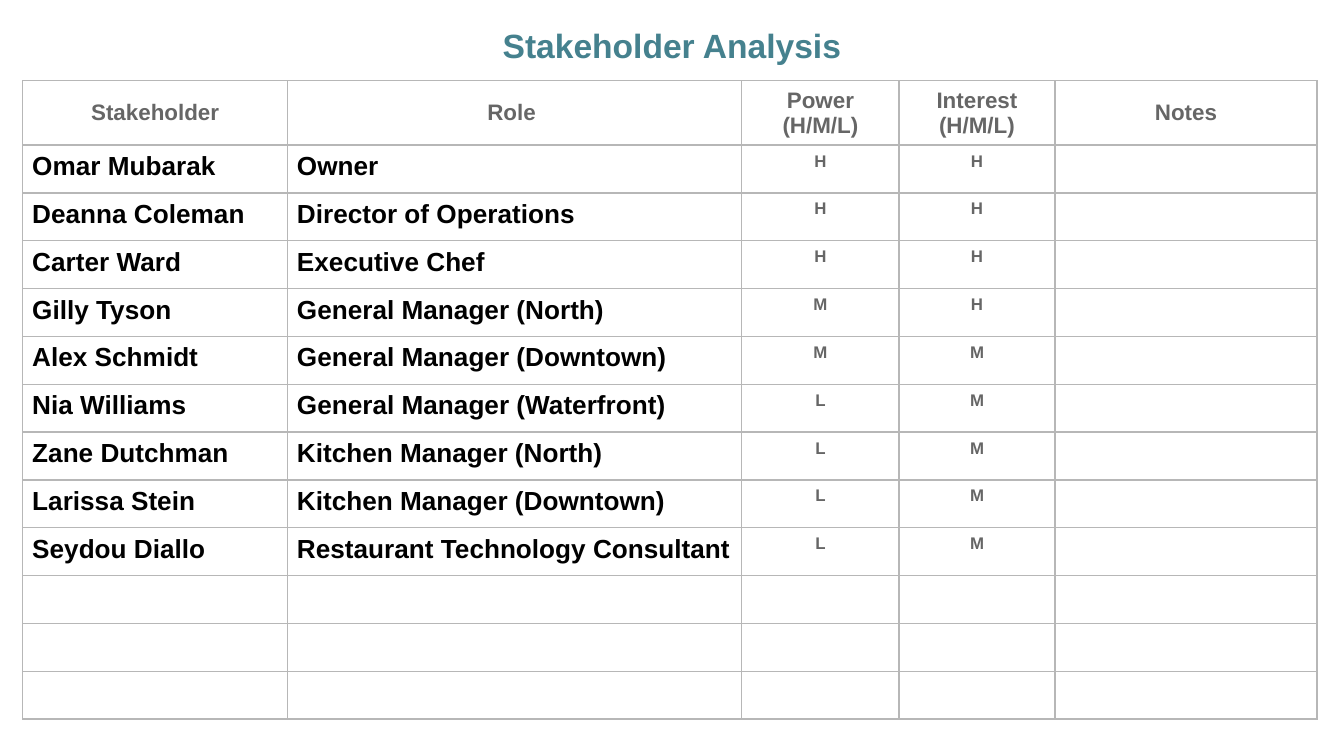
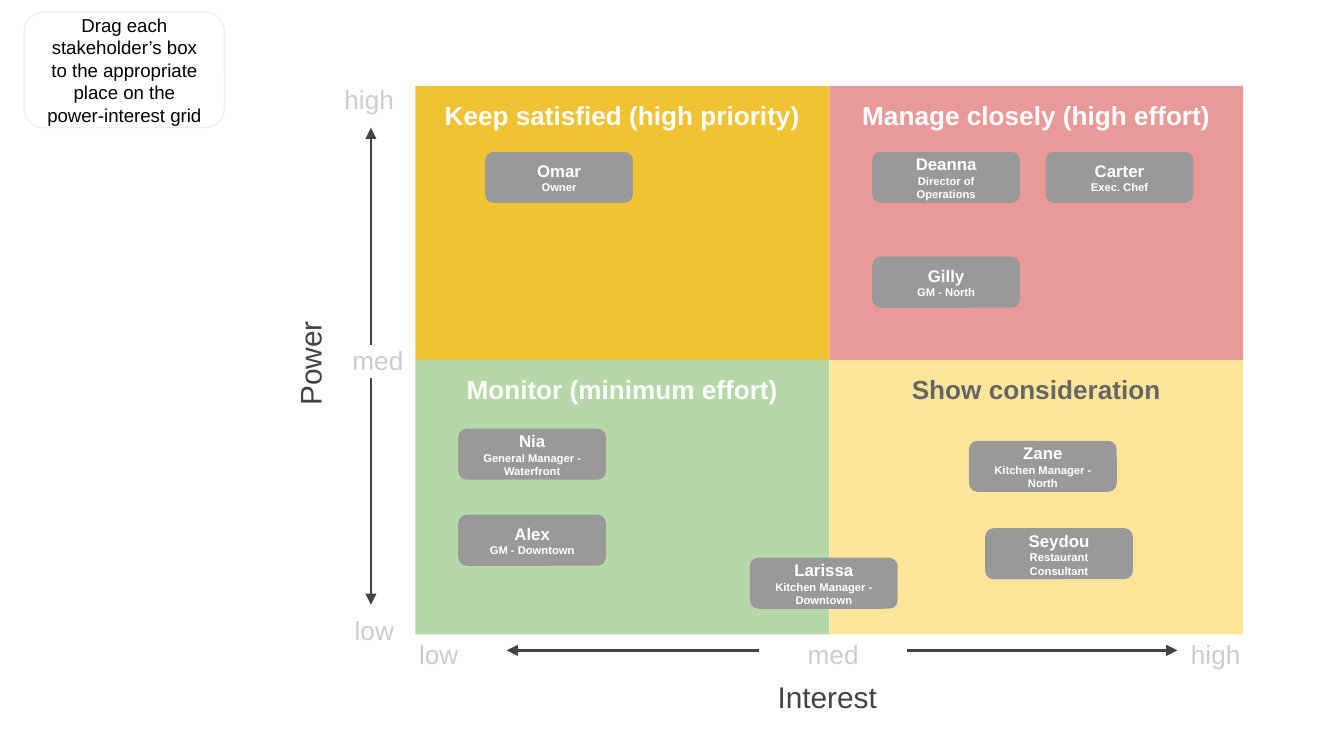
from lxml import etree
from pptx import Presentation
from pptx.dml.color import RGBColor
from pptx.enum.shapes import MSO_CONNECTOR, MSO_SHAPE
from pptx.enum.text import MSO_ANCHOR, PP_ALIGN
from pptx.oxml import parse_xml
from pptx.oxml.ns import nsdecls, qn
from pptx.util import Inches, Pt

LEFT, CENTER, RIGHT = PP_ALIGN.LEFT, PP_ALIGN.CENTER, PP_ALIGN.RIGHT
TOP, MIDDLE = MSO_ANCHOR.TOP, MSO_ANCHOR.MIDDLE
RECTANGLE, ROUNDED = MSO_SHAPE.RECTANGLE, MSO_SHAPE.ROUNDED_RECTANGLE
STRAIGHT = MSO_CONNECTOR.STRAIGHT

FONT = "Arial"
COLORS = {
    "title": "45818E",
    "muted": "666666",
    "black": "000000",
    "white": "FFFFFF",
    "border": "B7B7B7",
    "axis": "434343",
    "scale": "CCCCCC",
    "person": "999999",
    "hint": "EFEFEF",
    "satisfy": "F1C232",
    "manage": "EA9999",
    "monitor": "B6D7A8",
    "consider": "FFE599",
}

deck = Presentation()
deck.slide_width, deck.slide_height = Inches(10), Inches(5.625)
COL, ROW = deck.slide_width / 100, deck.slide_height / 100
blank = deck.slide_layouts[6]


def write(frame, lines, color, align=CENTER, bold=False):
    for index, (text, size) in enumerate(lines):
        paragraph = frame.add_paragraph() if index else frame.paragraphs[0]
        paragraph.text = text
        paragraph.alignment = align
        paragraph.font.name = FONT
        paragraph.font.size = Pt(size)
        paragraph.font.bold = bold
        paragraph.font.color.rgb = RGBColor.from_string(COLORS[color])


def place(slide, kind, left, top, width, height, anchor=TOP):
    area = [int(left * COL), int(top * ROW), int(width * COL), int(height * ROW)]
    if kind is None:
        item = slide.shapes.add_textbox(*area)
    else:
        item = slide.shapes.add_shape(kind, *area)
        item.shadow.inherit = False
        item.line.fill.background()
    frame = item.text_frame
    frame.word_wrap = True
    frame.vertical_anchor = anchor
    frame.margin_left = frame.margin_right = Inches(0.1)
    frame.margin_top = frame.margin_bottom = Inches(0.1)
    return item


analysis = deck.slides.add_slide(blank)

headings = ["Stakeholder", "Role ", "Power (H/M/L)", "Interest (H/M/L)", "Notes"]
stakeholders = [
    ("Omar Mubarak", "Owner", "H", "H"),
    ("Deanna Coleman", "Director of Operations", "H", "H"),
    ("Carter Ward", "Executive Chef", "H", "H"),
    ("Gilly Tyson", "General Manager (North)", "M", "H"),
    ("Alex Schmidt", "General Manager (Downtown)", "M", "M"),
    ("Nia Williams", "General Manager (Waterfront)", "L", "M"),
    ("Zane Dutchman", "Kitchen Manager (North)", "L", "M"),
    ("Larissa Stein", "Kitchen Manager (Downtown)", "L", "M"),
    ("Seydou Diallo", "Restaurant Technology Consultant", "L", "M"),
]
column_shares = [19.7, 33.8, 11.7, 11.6, 19.5]
heading_height, entry_height, entry_count = 8.53, 6.33, 12

register = analysis.shapes.add_table(
    entry_count + 1, len(headings), int(1.7 * COL), int(10.67 * ROW),
    int(sum(column_shares) * COL),
    int((heading_height + entry_count * entry_height) * ROW),
).table
register.first_row = register.horz_banding = False
for column, share in zip(register.columns, column_shares):
    column.width = int(share * COL)

for r, line in enumerate(register.rows):
    line.height = int((entry_height if r else heading_height) * ROW)
    entry = stakeholders[r - 1] if 0 < r <= len(stakeholders) else ()
    for c, cell in enumerate(line.cells):
        cell.margin_left = cell.margin_right = Inches(0.07)
        cell.margin_top = cell.margin_bottom = Inches(0.05)
        for side in ("lnL", "lnR", "lnT", "lnB"):
            cell._tc.get_or_add_tcPr().append(parse_xml(
                f'<a:{side} {nsdecls("a")} w="{Pt(0.75)}"><a:solidFill>'
                f'<a:srgbClr val="{COLORS["border"]}"/></a:solidFill></a:{side}>'))
        cell.fill.background()
        if r == 0:
            cell.vertical_anchor = MIDDLE
            write(cell.text_frame, [(headings[c], 12)], "muted", bold=True)
        elif c < 2 and entry:
            write(cell.text_frame, [(entry[c], 14)], "black", LEFT, True)
        else:
            rating = entry[c] if c < len(entry) else ""
            write(cell.text_frame, [(rating, 9)], "muted", bold=True)

title = place(analysis, None, 8.3, 0.71, 83.4, 8.89).text_frame
write(title, [("Stakeholder Analysis", 18)], "title", bold=True)
title.paragraphs[0].line_spacing = 1.15


matrix = deck.slides.add_slide(blank)

quadrants = [
    ("Keep satisfied (high priority)", "satisfy", "white"),
    ("Manage closely (high effort)", "manage", "white"),
    ("Monitor (minimum effort)", "monitor", "white"),
    ("Show consideration", "consider", "muted"),
]
quadrant_width, quadrant_height = 30.8, 36.27
for index, (strategy, fill, ink) in enumerate(quadrants):
    r, c = divmod(index, 2)
    quadrant = place(matrix, RECTANGLE, 30.9 + c * quadrant_width,
                     11.38 + r * quadrant_height, quadrant_width, quadrant_height)
    quadrant.fill.solid()
    quadrant.fill.fore_color.rgb = RGBColor.from_string(COLORS[fill])
    write(quadrant.text_frame, [(strategy, 14)], ink, bold=True)

power = place(matrix, None, 13.9, 44.98, 18.3, 6.22, MIDDLE)
power.rotation = 270
write(power.text_frame, [("Power", 16)], "axis")
interest = place(matrix, None, 54.1, 88, 14.9, 8.36)
write(interest.text_frame, [("Interest", 16)], "axis")

scale_labels = [
    ("high", 17, 9.24, 13.3, 4.62, RIGHT),
    ("med", 24.2, 43.73, 6.8, 7.82, RIGHT),
    ("low", 17, 79.47, 13.3, 4.62, RIGHT),
    ("low", 27.6, 82.67, 10.1, 6.76, CENTER),
    ("med", 56.5, 82.67, 11, 6.76, CENTER),
    ("high", 85.4, 82.67, 10.1, 6.76, CENTER),
]
for level, left, top, width, height, align in scale_labels:
    label = place(matrix, None, left, top, width, height)
    write(label.text_frame, [(level, 14)], "scale", align)

axis_arrows = [
    (27.6, 45.69, 27.6, 16.89),
    (27.6, 49.96, 27.6, 80),
    (67.5, 86.04, 87.6, 86.04),
    (56.5, 86.04, 37.7, 86.04),
]
for x1, y1, x2, y2 in axis_arrows:
    arrow = matrix.shapes.add_connector(
        STRAIGHT, int(x1 * COL), int(y1 * ROW), int(x2 * COL), int(y2 * ROW))
    arrow.line.width = Pt(1.5)
    arrow.line.color.rgb = RGBColor.from_string(COLORS["axis"])
    etree.SubElement(arrow.line._get_or_add_ln(), qn("a:tailEnd"), type="triangle")
    etree.SubElement(arrow._element.spPr, qn("a:effectLst"))

people = [
    ("Omar", "Owner", 36.1, 20.09),
    ("Deanna", "Director of Operations", 64.9, 20.09),
    ("Carter", "Exec. Chef", 77.8, 20.09),
    ("Gilly", "GM - North", 64.9, 33.96),
    ("Alex", "GM - Downtown", 34.1, 68.09),
    ("Zane", "Kitchen Manager - North", 72.1, 58.31),
    ("Larissa", "Kitchen Manager - Downtown", 55.8, 73.78),
    ("Seydou", "Restaurant Consultant", 73.3, 69.87),
    ("Nia", "General Manager - Waterfront", 34.1, 56.71),
]
for name, role, left, top in people:
    person = place(matrix, ROUNDED, left, top, 11, 6.76, MIDDLE)
    person.fill.solid()
    person.fill.fore_color.rgb = RGBColor.from_string(COLORS["person"])
    write(person.text_frame, [(name, 9), (role, 6)], "white", bold=True)

hint = place(matrix, ROUNDED, 1.8, 1.6, 14.9, 15.29, MIDDLE)
hint.fill.background()
hint.line.width = Pt(0.75)
hint.line.color.rgb = RGBColor.from_string(COLORS["hint"])
instruction = "Drag each stakeholder’s box to the appropriate place on the power-interest grid"
write(hint.text_frame, [(instruction, 10)], "black")

deck.save("out.pptx")
